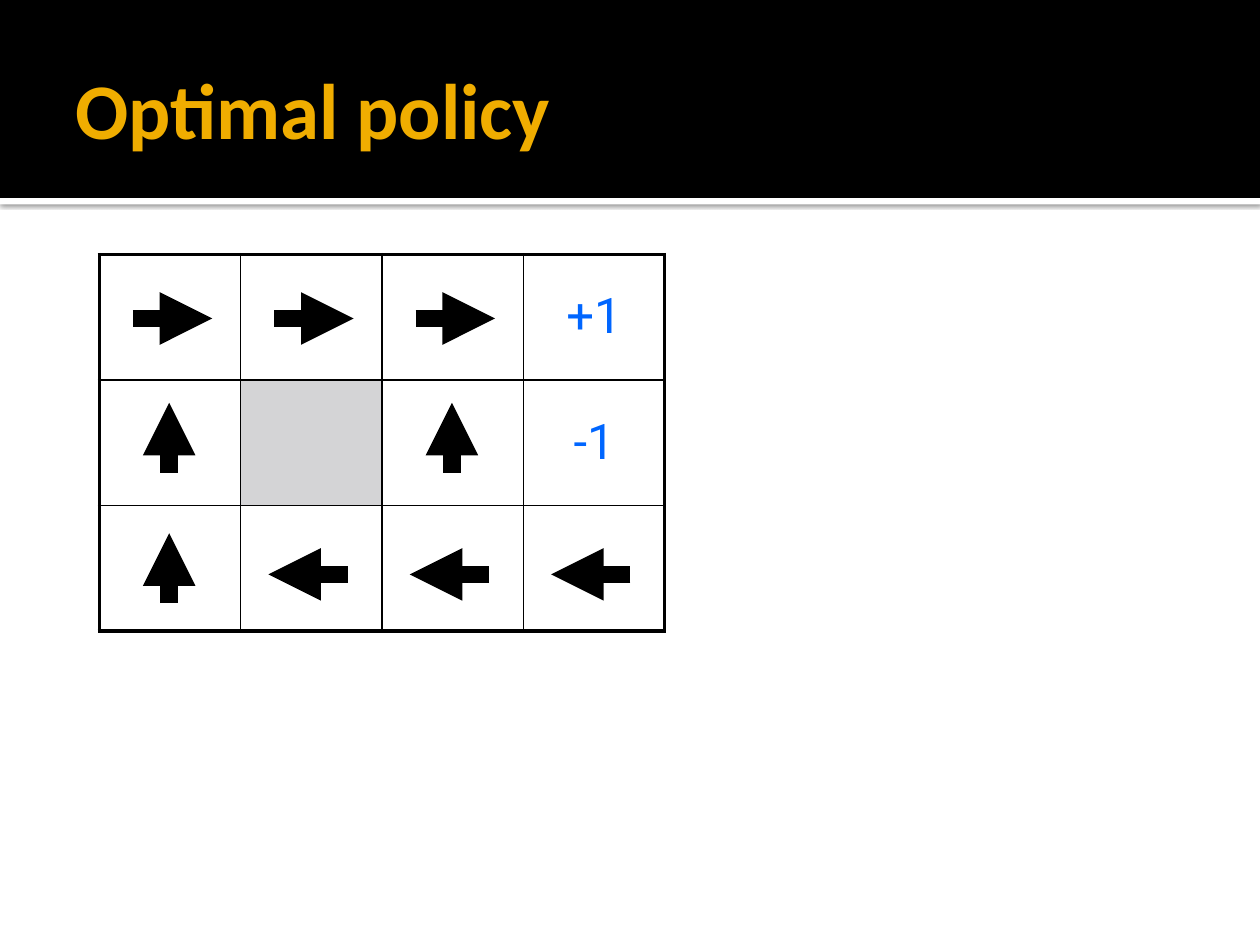
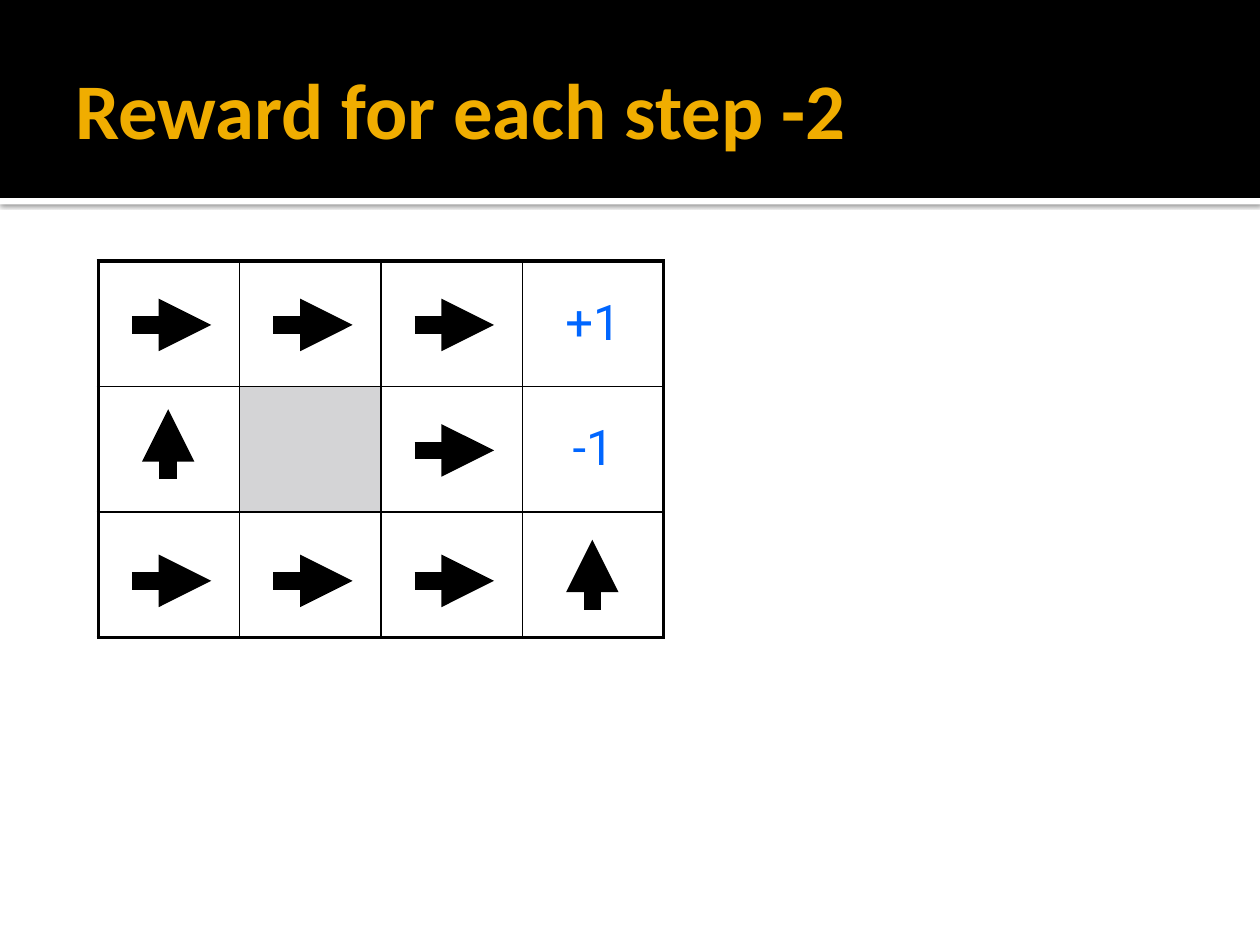
from dataclasses import dataclass

from lxml.etree import SubElement
from pptx import Presentation
from pptx.dml.color import RGBColor
from pptx.enum.shapes import MSO_CONNECTOR, MSO_SHAPE
from pptx.enum.text import MSO_ANCHOR, MSO_AUTO_SIZE, PP_ALIGN
from pptx.oxml.ns import qn
from pptx.shapes.autoshape import Shape
from pptx.slide import Slide
from pptx.table import _Cell
from pptx.util import Cm, Length, Pt

BLACK = RGBColor(0x00, 0x00, 0x00)
WHITE = RGBColor(0xFF, 0xFF, 0xFF)
GOLD = RGBColor(0xF0, 0xAD, 0x00)
BLUE = RGBColor(0x00, 0x66, 0xFF)
GREY = RGBColor(0xD4, 0xD4, 0xD6)

TITLE_FONT = "Calibri"
REWARD_FONT = "Roboto"

PAGE_WIDTH, PAGE_HEIGHT = Cm(25.4), Cm(19.05)
BAND_HEIGHT = Cm(3.99)
RULE_HEIGHT = Cm(0.13)
COLUMN_WIDTH, ROW_HEIGHT = Cm(2.85), Cm(2.53)
BOTTOM_ROW_DROP = Cm(0.1)
INNER_BORDER, OUTER_BORDER = Pt(1), Pt(2.25)

WALL = "#"


@dataclass(frozen=True)
class Arrow:
    """Tail and head, measured from the top left corner of a cell."""
    tail_x: Length
    tail_y: Length
    head_x: Length
    head_y: Length


ARROWS = {
    "→": Arrow(Cm(0.68), Cm(1.29), Cm(2.28), Cm(1.29)),
    "←": Arrow(Cm(2.16), Cm(1.29), Cm(0.56), Cm(1.29)),
    "↑": Arrow(Cm(1.41), Cm(1.87), Cm(1.41), Cm(0.46)),
}


@dataclass(frozen=True)
class PolicyPage:
    title: str
    left: Length
    top: Length
    rows: tuple[tuple[str, ...], ...]


POLICY_PAGES = (
    PolicyPage("Optimal policy", Cm(2), Cm(5.13), (
        ("→", "→", "→", "+1"),
        ("↑", WALL, "↑", "-1"),
        ("↑", "←", "←", "←"),
    )),
    PolicyPage("Reward for each step -2", Cm(1.98), Cm(5.26), (
        ("→", "→", "→", "+1"),
        ("↑", WALL, "→", "-1"),
        ("→", "→", "→", "↑"),
    )),
)


def add_band(slide: Slide, top: Length, height: Length, color: RGBColor) -> Shape:
    """Add a full-width band behind the title."""
    band = slide.shapes.add_shape(MSO_SHAPE.RECTANGLE, 0, top, PAGE_WIDTH, height)
    band.shadow.inherit = False
    band.fill.solid()
    band.fill.fore_color.rgb = color
    band.line.fill.background()
    slide.shapes.title.element.addprevious(band.element)
    return band


def add_soft_shadow(shape: Shape) -> None:
    effects = shape.element.spPr.find(qn("a:effectLst"))
    shadow = SubElement(effects, qn("a:outerShdw"), blurRad=str(Pt(2.5)),
                        dist=str(Pt(0.8)), dir="5400000", rotWithShape="0")
    color = SubElement(shadow, qn("a:srgbClr"), val=str(BLACK))
    SubElement(color, qn("a:alpha"), val="60000")


def add_header(slide: Slide, text: str) -> None:
    rule = add_band(slide, BAND_HEIGHT, RULE_HEIGHT, WHITE)
    add_soft_shadow(rule)
    add_band(slide, Cm(0), BAND_HEIGHT, BLACK)

    title = slide.shapes.title
    title.left, title.top = Cm(1.27), Cm(0.43)
    title.width, title.height = Cm(22.86), Cm(3.48)
    frame = title.text_frame
    frame.text = text
    frame.word_wrap = True
    frame.auto_size = MSO_AUTO_SIZE.NONE
    frame.vertical_anchor = MSO_ANCHOR.MIDDLE
    frame.margin_left = Cm(0.25)
    frame.margin_top = frame.margin_right = frame.margin_bottom = Cm(0.13)
    para = frame.paragraphs[0]
    para.alignment = PP_ALIGN.LEFT
    para.font.name = TITLE_FONT
    para.font.size = Pt(45)
    para.font.bold = True
    para.font.color.rgb = GOLD


def set_borders(cell: _Cell, outer_sides: dict[str, bool]) -> None:
    properties = cell._tc.get_or_add_tcPr()
    for side, is_outer in outer_sides.items():
        width = OUTER_BORDER if is_outer else INNER_BORDER
        border = SubElement(properties, qn(f"a:ln{side}"), w=str(width))
        fill = SubElement(border, qn("a:solidFill"))
        SubElement(fill, qn("a:srgbClr"), val=str(BLACK))


def write_reward(cell: _Cell, text: str) -> None:
    cell.text = text
    cell.vertical_anchor = MSO_ANCHOR.MIDDLE
    para = cell.text_frame.paragraphs[0]
    para.alignment = PP_ALIGN.CENTER
    para.font.name = REWARD_FONT
    para.font.size = Pt(28)
    para.font.color.rgb = BLUE


def add_arrow(slide: Slide, left: Length, top: Length, arrow: Arrow) -> None:
    line = slide.shapes.add_connector(
        MSO_CONNECTOR.STRAIGHT, left + arrow.tail_x, top + arrow.tail_y,
        left + arrow.head_x, top + arrow.head_y)
    line.line.color.rgb = BLACK
    line.line.width = Pt(10)
    SubElement(line.line._get_or_add_ln(), qn("a:tailEnd"), type="triangle")
    SubElement(line.element.spPr, qn("a:effectLst"))


def add_grid(slide: Slide, page: PolicyPage) -> None:
    last_row, last_column = len(page.rows) - 1, len(page.rows[0]) - 1
    table = slide.shapes.add_table(
        last_row + 1, last_column + 1, page.left, page.top,
        COLUMN_WIDTH * (last_column + 1), ROW_HEIGHT * (last_row + 1)).table
    table.first_row = table.horz_banding = False
    for column in table.columns:
        column.width = COLUMN_WIDTH
    for row in table.rows:
        row.height = ROW_HEIGHT

    for r, marks in enumerate(page.rows):
        for c, mark in enumerate(marks):
            cell = table.cell(r, c)
            set_borders(cell, {"L": c == 0, "R": c == last_column,
                               "T": r == 0, "B": r == last_row})
            if mark == WALL:
                cell.fill.solid()
                cell.fill.fore_color.rgb = GREY
                continue
            cell.fill.background()
            if mark in ARROWS:
                drop = BOTTOM_ROW_DROP if r == last_row else 0
                add_arrow(slide, page.left + c * COLUMN_WIDTH,
                          page.top + r * ROW_HEIGHT + drop, ARROWS[mark])
            else:
                write_reward(cell, mark)


def main() -> None:
    deck = Presentation()
    deck.slide_width, deck.slide_height = PAGE_WIDTH, PAGE_HEIGHT
    title_only = deck.slide_layouts.get_by_name("Title Only")
    for page in POLICY_PAGES:
        slide = deck.slides.add_slide(title_only)
        add_header(slide, page.title)
        add_grid(slide, page)
    deck.save("out.pptx")


if __name__ == "__main__":
    main()
